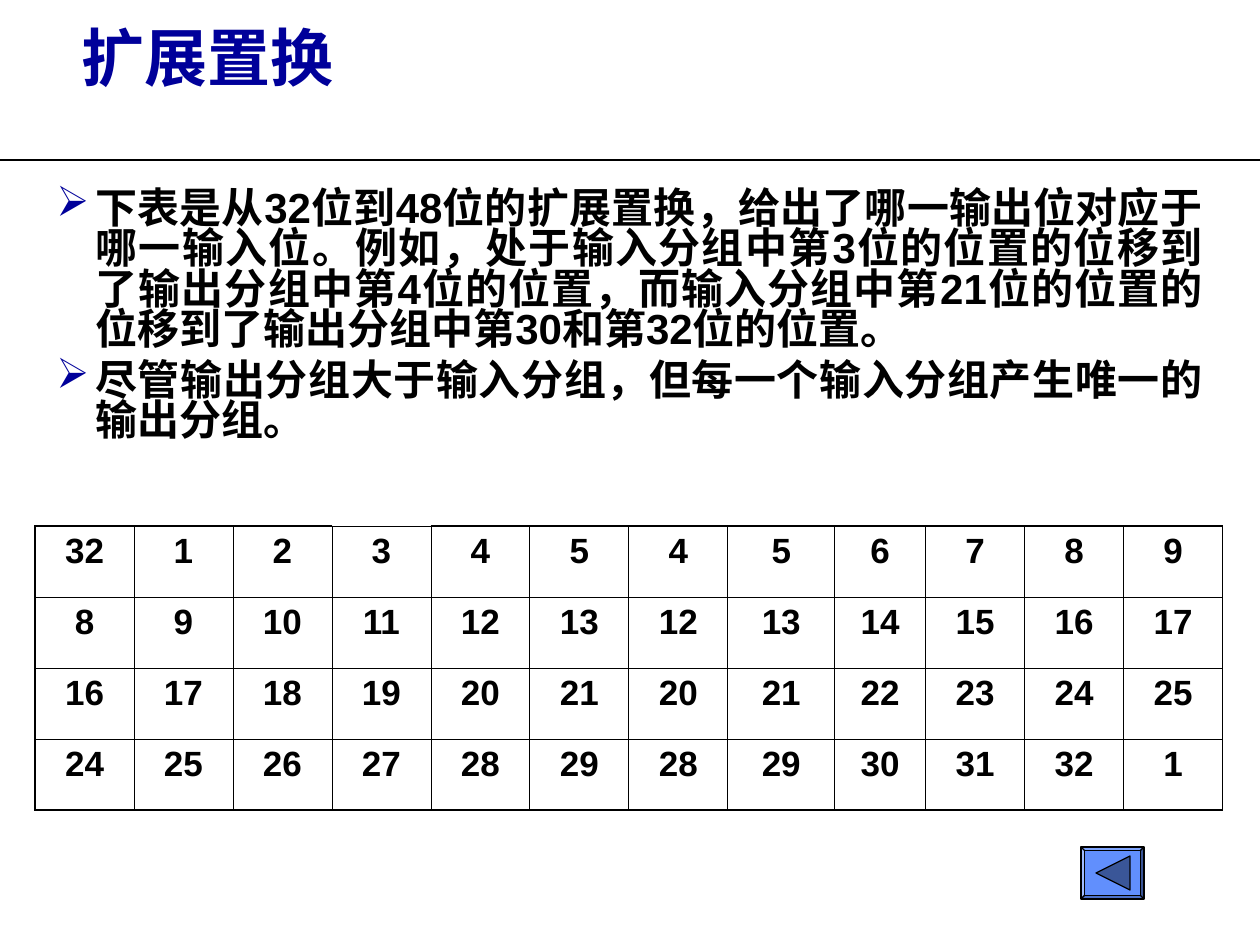
from dataclasses import dataclass

from lxml.etree import SubElement as Sub
from pptx import Presentation as Deck
from pptx.dml.color import RGBColor as RGB
from pptx.enum.shapes import MSO_CONNECTOR as Link, MSO_SHAPE as Kind
from pptx.enum.text import MSO_ANCHOR as Anchor, PP_ALIGN as Align
from pptx.oxml.ns import qn
from pptx.util import Pt

SCALE = 914400 / 126


def px(n):
    return round(n * SCALE)


@dataclass(frozen=True)
class Theme:
    ink: str = "000000"
    navy: str = "00009A"
    blue: str = "618FFD"
    dark: str = "3A5698"
    head: int = 36
    body: int = 24
    cell: int = 20
    thin: float = 0.45
    thick: float = 1.08


class Page:
    """Holds the theme and the slide, and draws each kind of element."""

    def __init__(self, slide, theme):
        self.slide, self.theme = slide, theme
        self.shapes = slide.shapes

    def label(self, para, text, size, color, face="Arial"):
        run = para.add_run()
        run.text = text
        style = {"size": Pt(size), "bold": True, "name": face}
        for key, val in style.items():
            setattr(run.font, key, val)
        run.font.color.rgb = RGB.from_string(color)
        Sub(run.font._element, qn("a:ea"), typeface=face)

    def hang(self, para, depth, mark=None):
        """Indent all lines but the first, with a bullet if one is given."""
        props = para._p.get_or_add_pPr()
        props.set("marL", str(px(depth)))
        props.set("indent", str(-px(depth)))
        if mark:
            tint = Sub(props, qn("a:buClr"))
            Sub(tint, qn("a:srgbClr"), val=self.theme.navy)
            Sub(props, qn("a:buChar"), char=mark)

    def box(self, x, y, w, h, **form):
        frame = self.shapes.add_textbox(px(x), px(y), px(w), px(h)).text_frame
        for key, val in {"word_wrap": True, **form}.items():
            setattr(frame, key, val)
        return frame

    def title(self, text, *area):
        frame = self.box(*area, vertical_anchor=Anchor.MIDDLE,
                         margin_left=px(32), margin_right=px(32),
                         margin_top=px(13), margin_bottom=px(13))
        para = frame.paragraphs[0]
        self.hang(para, 47)
        self.label(para, text, self.theme.head, self.theme.navy, "Karla")

    def bullets(self, items, *area):
        frame = self.box(*area)
        for i, text in enumerate(items):
            para = frame.add_paragraph() if i else frame.paragraphs[0]
            self.hang(para, 39, "➢")
            form = {"alignment": Align.JUSTIFY, "line_spacing": 0.8,
                    "space_before": Pt(6 if i else 0)}
            for key, val in form.items():
                setattr(para, key, val)
            self.label(para, text, self.theme.body, self.theme.ink)

    def rule(self, x1, y1, x2, y2, width):
        line = self.shapes.add_connector(
            Link.STRAIGHT, px(x1), px(y1), px(x2), px(y2))
        self.edge(line, width)
        Sub(line._element.spPr, qn("a:effectLst"))

    def edge(self, shape, width):
        shape.line.width = Pt(width)
        shape.line.color.rgb = RGB.from_string(self.theme.ink)

    def frame(self, cell, sides):
        props = cell._tc.get_or_add_tcPr()
        for side, width in sides.items():
            line = Sub(props, qn("a:ln" + side), w=str(Pt(width)))
            fill = Sub(line, qn("a:solidFill"))
            Sub(fill, qn("a:srgbClr"), val=self.theme.ink)
        cell.fill.background()

    def grid(self, rows, x, y, widths, high, gaps=()):
        """Draw a table with a thick rim; cells in gaps keep thin sides."""
        tall, wide = len(rows), len(widths)
        table = self.shapes.add_table(
            tall, wide, px(x), px(y), px(sum(widths)), px(high * tall)).table
        table.first_row = table.horz_banding = False
        for col, w in zip(table.columns, widths):
            col.width = px(w)
        for r, row in enumerate(rows):
            table.rows[r].height = px(high)
            for c, val in enumerate(row):
                cell = table.cell(r, c)
                para = cell.text_frame.paragraphs[0]
                para.alignment = Align.CENTER
                self.label(para, str(val), self.theme.cell, self.theme.ink)
                rim = {"L": c == 0, "R": c == wide - 1,
                       "T": r == 0, "B": r == tall - 1}
                self.frame(cell, {
                    side: self.theme.thick if outer and (r, c) not in gaps
                    else self.theme.thin for side, outer in rim.items()})

    def paint(self, shape, color):
        shape.shadow.inherit = False
        shape.fill.solid()
        shape.fill.fore_color.rgb = RGB.from_string(color)
        self.edge(shape, 0.75)

    def button(self, x, y, w, h):
        """Draw a raised button with an arrow that points left."""
        base = self.shapes.add_shape(Kind.BEVEL, px(x), px(y), px(w), px(h))
        base.adjustments[0] = 0.07
        self.paint(base, self.theme.blue)
        mid, half = y + h / 2, 17
        left, right = x + 15, x + 49
        pen = self.shapes.build_freeform(left, mid, scale=SCALE)
        pen.add_line_segments([(right, mid - half), (right, mid + half)])
        self.paint(pen.convert_to_shape(), self.theme.dark)


def main():
    deck = Deck()
    deck.slide_width, deck.slide_height = px(1260), px(945)
    page = Page(deck.slides.add_slide(deck.slide_layouts[6]), Theme())

    page.rule(1260, 160, 0, 160, 1.5)
    page.title("扩展置换", 50, 0, 1210, 113)
    page.bullets([
        "下表是从32位到48位的扩展置换，给出了哪一输出位对应于哪一输入位。"
        "例如，处于输入分组中第3位的位置的位移到了输出分组中第4位的位置，"
        "而输入分组中第21位的位置的位移到了输出分组中第30和第32位的位置。",
        "尽管输出分组大于输入分组，但每一个输入分组产生唯一的输出分组。",
    ], 44, 185, 1171, 318)

    # Each row expands two groups of four bits to six, wrapping at 32.
    steps = [*range(6), *range(4, 10)]
    bits = [[(8 * r + k - 1) % 32 + 1 for k in steps] for r in range(4)]
    widths = [99] * 7 + [107, 91] + [99] * 3
    page.grid(bits, 35, 526, widths, 71, gaps={(0, 3)})

    page.button(1081, 847, 63, 52)
    deck.save("out.pptx")


if __name__ == "__main__":
    main()
